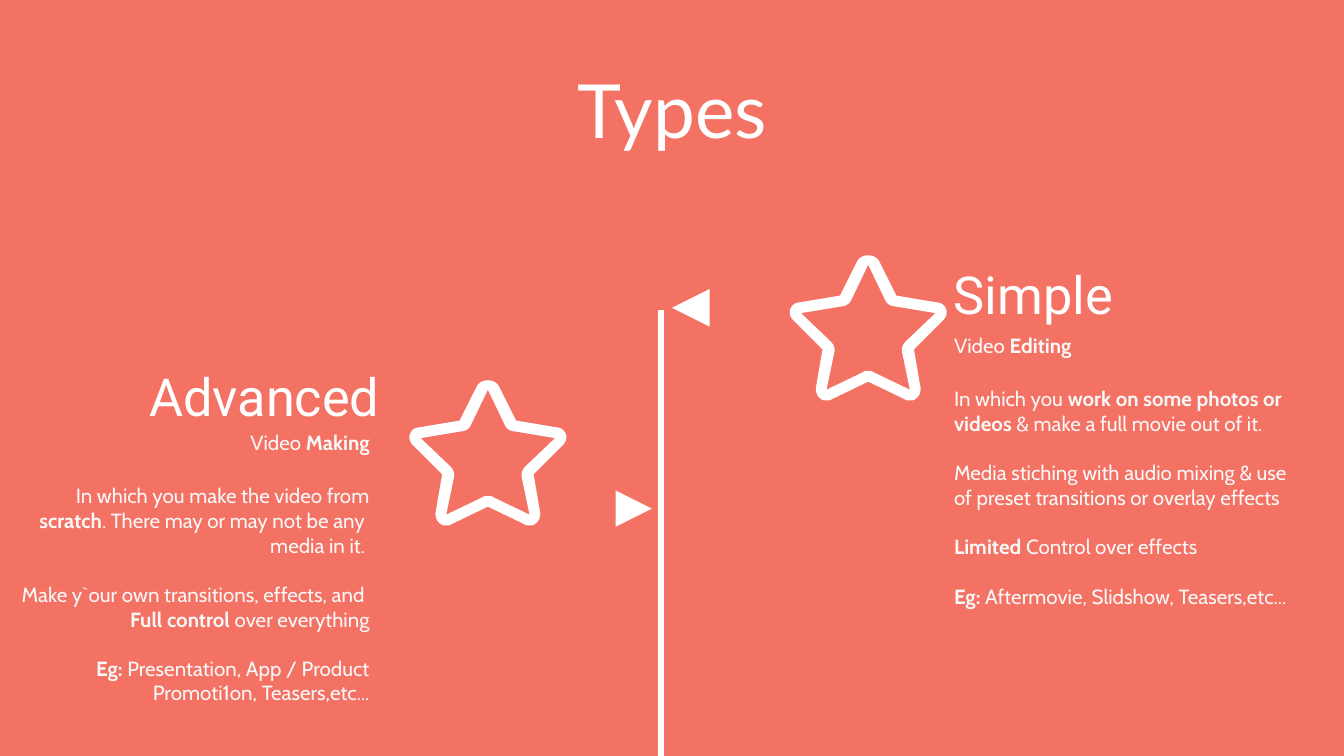
from dataclasses import dataclass

import pptx
import pptx.dml.color
import pptx.enum.shapes
import pptx.enum.text
import pptx.util

Cm = pptx.util.Cm
Pt = pptx.util.Pt
ALIGN = pptx.enum.text.PP_ALIGN
WHITE, OFF_WHITE, CORAL = "FFFFFF", "F8F8F8", "F47264"
INCH = 2.54
STAR_UNIT = Cm(INCH / 100)

Point = tuple[float, float]
Box = tuple[float, float, float, float]

STAR_OUTSIDE = [
    [(0, 0)], [(3, 0), (6, 1), (8, 4)], [(21, 30)], [(51, 35)],
    [(54, 35), (57, 37), (58, 40)], [(59, 43), (58, 46), (56, 48)],
    [(34, 70)], [(39, 99)], [(39, 102), (38, 105), (35, 107)],
    [(34, 108), (32, 108), (31, 108)], [(29, 108), (28, 108), (27, 107)],
    [(0, 94)],
]
STAR_INSIDE = [
    [(0, 7)], [(13, 34)], [(14, 36), (17, 38), (20, 38)], [(50, 43)],
    [(28, 64)], [(26, 66), (25, 68), (25, 71)], [(31, 100)], [(4, 87)],
    [(3, 86), (1, 86), (0, 86)],
]


@dataclass
class Paragraph:
    text: str
    before: float = 0


@dataclass
class VideoType:
    name: str
    name_box: Box
    details: list[Paragraph]
    details_box: Box
    align: ALIGN
    star_center: float
    star_top: float
    pointer_box: Box
    pointer_rotation: int


def inches(value: float) -> int:
    return Cm(value * INCH)


def rgb(color: str) -> pptx.dml.color.RGBColor:
    return pptx.dml.color.RGBColor.from_string(color)


def paint(shape) -> None:
    shape.shadow.inherit = False
    shape.fill.solid()
    shape.fill.fore_color.rgb = rgb(WHITE)
    shape.line.fill.background()


def style(paragraph, font: str, size: float, color: str, align: ALIGN) -> None:
    paragraph.alignment = align
    paragraph.font.name = font
    paragraph.font.size = Pt(size)
    paragraph.font.color.rgb = rgb(color)


def add_text(slide, box: Box, paragraphs: list[Paragraph], font: str,
             size: float, color: str, align: ALIGN) -> None:
    frame = slide.shapes.add_textbox(*map(inches, box)).text_frame
    frame.word_wrap = True
    for index, item in enumerate(paragraphs):
        paragraph = frame.add_paragraph() if index else frame.paragraphs[0]
        style(paragraph, font, size, color, align)
        paragraph.space_before = Pt(item.before)
        for part, words in enumerate(item.text.split("**")):
            if words:
                run = paragraph.add_run()
                run.text = words
                run.font.bold = part % 2 == 1


def star_contour(half: list[list[Point]], steps: int = 6) -> list[Point]:
    points = list(half[0])
    for segment in half[1:]:
        if len(segment) == 1:
            points += segment
            continue
        curve = [points[-1], *segment]
        for step in range(1, steps + 1):
            t = step / steps
            weights = ((1 - t) ** 3, 3 * t * (1 - t) ** 2, 3 * t * t * (1 - t), t ** 3)
            points.append((sum(w * p[0] for w, p in zip(weights, curve)),
                           sum(w * p[1] for w, p in zip(weights, curve))))
    return points + [(-x, y) for x, y in reversed(points[1:-1])]


def add_star(slide, center: float, top: float) -> None:
    def placed(half: list[list[Point]]) -> list[Point]:
        return [(inches(center) + x * STAR_UNIT, inches(top) + y * STAR_UNIT)
                for x, y in star_contour(half)]

    outside, inside = placed(STAR_OUTSIDE), placed(STAR_INSIDE)
    builder = slide.shapes.build_freeform(*outside[0])
    builder.add_line_segments(outside[1:], close=True)
    builder.move_to(*inside[0])
    builder.add_line_segments(inside[1:], close=True)
    paint(builder.convert_to_shape())


def add_video_type(slide, kind: VideoType) -> None:
    pointer = slide.shapes.add_shape(
        pptx.enum.shapes.MSO_SHAPE.FLOWCHART_EXTRACT, *map(inches, kind.pointer_box))
    pointer.rotation = kind.pointer_rotation
    paint(pointer)
    add_text(slide, kind.details_box, kind.details, "Cabin", 11, OFF_WHITE, kind.align)
    add_text(slide, kind.name_box, [Paragraph(kind.name)], "Roboto", 28, WHITE, kind.align)
    add_star(slide, kind.star_center, kind.star_top)


def add_title(slide, text: str) -> None:
    title = slide.shapes.title
    title.left, title.top, title.width, title.height = map(inches, (0.5, 0.61, 9, 0.4))
    title.text_frame.text = text
    title.text_frame.vertical_anchor = pptx.enum.text.MSO_ANCHOR.MIDDLE
    style(title.text_frame.paragraphs[0], "Lato", 40, WHITE, ALIGN.CENTER)


def add_axis(slide) -> None:
    axis = slide.shapes.add_connector(
        pptx.enum.shapes.MSO_CONNECTOR.STRAIGHT, *map(inches, (4.92, 2.31, 4.92, 5.98)))
    axis.line.color.rgb = rgb(WHITE)
    axis.line.width = Pt(3)
    properties = axis._element.spPr
    properties.append(properties.makeelement(pptx.oxml.ns.qn("a:effectLst"), {}))


LEAD_GAP, GAP = 15.3, 13.2
VIDEO_TYPES = [
    VideoType(
        "Simple", (7, 1.9, 2, 0.57),
        [Paragraph("Video** Editing **", 2.1),
         Paragraph("In which you **work on some photos or videos** & make a full movie out of it.",
                   LEAD_GAP),
         Paragraph("Media stiching with audio mixing & use of preset transitions or overlay effects",
                   GAP),
         Paragraph("**Limited** Control over effects", GAP),
         Paragraph("**Eg:** Aftermovie, Slidshow, Teasers,etc...", GAP)],
        (7, 2.43, 2.75, 2.38), ALIGN.LEFT, 6.46, 1.9, (5, 2.15, 0.28, 0.28), 270),
    VideoType(
        "Advanced", (0.5, 2.66, 2.42, 0.57),
        [Paragraph("Video **Making**", 2.1),
         Paragraph("In which you make the video from **scratch**. There may or may not be any ",
                   LEAD_GAP),
         Paragraph("media in it. "),
         Paragraph("Make y`our own transitions, effects, and ", GAP),
         Paragraph("**Full control **over everything"),
         Paragraph("**Eg:** Presentation, App / Product Promoti1on, Teasers,etc...", GAP)],
        (0.06, 3.15, 2.79, 2.38), ALIGN.RIGHT, 3.63, 2.83, (4.58, 3.65, 0.27, 0.27), 90),
]

presentation = pptx.Presentation()
presentation.slide_width = Cm(25.4)
presentation.slide_height = presentation.slide_width * 9 // 16
types_slide = presentation.slides.add_slide(presentation.slide_layouts[5])
types_slide.background.fill.solid()
types_slide.background.fill.fore_color.rgb = rgb(CORAL)
add_title(types_slide, "Types")
add_axis(types_slide)
for video_type in VIDEO_TYPES:
    add_video_type(types_slide, video_type)
presentation.save("out.pptx")
